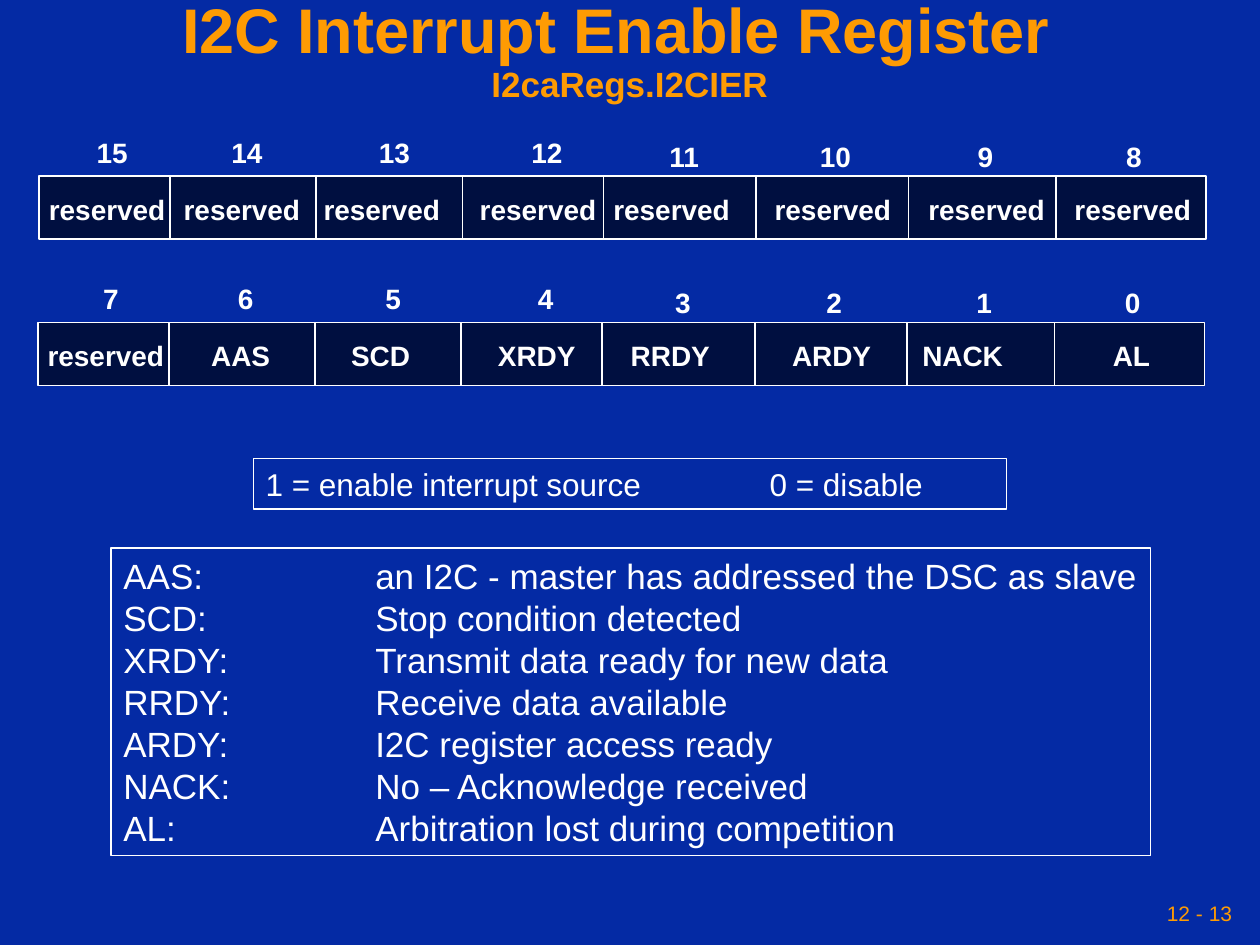
from lxml import etree
from pptx import Presentation
from pptx import util as u
from pptx.dml.color import RGBColor
from pptx.enum import shapes, text
from pptx.oxml import ns

COLORS = {"back": "042AA4", "cell": "000F40", "ink": "FFFFFF", "accent": "FE9B03"}
MIDDLE = text.MSO_ANCHOR.MIDDLE
LEFT, CENTER, RIGHT = text.PP_ALIGN.LEFT, text.PP_ALIGN.CENTER, text.PP_ALIGN.RIGHT
DIVIDERS = [1.35, 2.51, 3.67, 4.79, 6, 7.21, 8.38]
BIT_CENTERS = [0.89, 1.96, 3.13, 4.34, 5.43, 6.63, 7.82, 9]
NAME_CENTERS = [0.85, 1.92, 3.03, 4.27, 5.33, 6.61, 7.83, 8.99]
NACK_CENTERS = NAME_CENTERS[:6] + [7.65] + NAME_CENTERS[7:]
FLAGS = ["reserved", "AAS", "SCD", "XRDY", "RRDY", "ARDY", "NACK", "AL"]
MEANINGS = [
    "AAS:\tan I2C - master has addressed the DSC as slave",
    "SCD:\tStop condition detected",
    "XRDY:\tTransmit data ready for new data",
    "RRDY:\tReceive data available",
    "ARDY:\tI2C register access ready",
    "NACK:\tNo – Acknowledge received",
    "AL:\tArbitration lost during competition",
]


class Deck:
    """Holds the style and the current slide, and draws each kind of element."""

    def __init__(self, prs):
        self.s = prs.slides.add_slide(prs.slide_layouts[5])
        self.s.background.fill.solid()
        self.s.background.fill.fore_color.rgb = self.color("back")

    def color(self, name):
        return RGBColor.from_string(COLORS[name])

    def frame(self, sp, inset=0.1, **values):
        tf = sp.text_frame
        values = {"margin_left": u.Inches(inset), "margin_right": u.Inches(inset),
                  "margin_top": u.Inches(0.05), "margin_bottom": u.Inches(0.05),
                  "auto_size": text.MSO_AUTO_SIZE.NONE, "word_wrap": True, **values}
        for key, value in values.items():
            setattr(tf, key, value)
        return tf

    def run(self, p, words, size, color="ink", bold=False):
        r = p.add_run()
        r.text = words
        for key, value in {"name": "Arial", "size": u.Pt(size), "bold": bold}.items():
            setattr(r.font, key, value)
        r.font.color.rgb = self.color(color)

    def title(self, heading, subheading):
        sp = self.s.shapes.title
        for key, value in {"left": 0, "top": 0, "width": 9.92, "height": 0.83}.items():
            setattr(sp, key, u.Inches(value))
        p = self.frame(sp, 0.05, vertical_anchor=MIDDLE).paragraphs[0]
        p.alignment, p.line_spacing = CENTER, 0.9
        self.run(p, heading, 36, "accent", True)
        p.add_line_break()
        self.run(p, subheading, 20, "accent", True)

    def label(self, words, center, top, width):
        sp = self.s.shapes.add_textbox(*map(u.Inches, (center - width / 2, top, width, 0.32)))
        p = self.frame(sp, word_wrap=False).paragraphs[0]
        p.alignment, p.line_spacing = CENTER, 0.8
        self.run(p, words, 16, bold=True)

    def page_number(self, words):
        sp = self.s.shapes.add_textbox(*map(u.Inches, (6.83, 7.08, 3, 0.33)))
        p = self.frame(sp, 0.05, vertical_anchor=MIDDLE).paragraphs[0]
        p.alignment = RIGHT
        self.run(p, words, 12, "accent")

    def box(self, left, top, width, height, weight, fill=None):
        sp = self.s.shapes.add_shape(shapes.MSO_SHAPE.RECTANGLE,
                                     *map(u.Inches, (left, top, width, height)))
        sp.shadow.inherit = False
        if fill:
            sp.fill.solid()
            sp.fill.fore_color.rgb = self.color(fill)
        else:
            sp.fill.background()
        sp.line.color.rgb = self.color("ink")
        sp.line.width = u.Pt(weight)
        return sp

    def legend(self, lines, place, size, tab, wrap=True):
        sp = self.box(*place, 0.75)
        tf = self.frame(sp, word_wrap=wrap, vertical_anchor=text.MSO_ANCHOR.TOP)
        for i, words in enumerate(lines):
            p = tf.add_paragraph() if i else tf.paragraphs[0]
            p.alignment = LEFT
            tabs = etree.SubElement(p._p.get_or_add_pPr(), ns.qn("a:tabLst"))
            etree.SubElement(tabs, ns.qn("a:tab"), pos=str(u.Inches(tab)), algn="l")
            self.run(p, words, size)

    def divider(self, x, top, bottom):
        line = self.s.shapes.add_connector(shapes.MSO_CONNECTOR.STRAIGHT,
                                           *map(u.Inches, (x, top, x, bottom)))
        line.line.color.rgb = self.color("ink")
        line.line.width = u.Pt(1)
        etree.SubElement(line._element.spPr, ns.qn("a:effectLst"))

    def register_row(self, top, shift, high_bit, names, centers):
        self.box(0.31 + shift, top, 9.26, 0.5, 1, "cell")
        for x in DIVIDERS:
            self.divider(x + shift, top, top + 0.5)
        for i, (name, x) in enumerate(zip(names, centers)):
            bit_top = top - (0.32 if i < 4 else 0.29)
            self.label(str(high_bit - i), BIT_CENTERS[i] + shift, bit_top, 0.44)
            self.label(name, x + shift, top + 0.13, 1.12)


def main():
    prs = Presentation()
    prs.slide_width, prs.slide_height = u.Inches(10), u.Inches(7.5)
    deck = Deck(prs)
    deck.title("I2C Interrupt Enable Register ", " I2caRegs.I2CIER")
    deck.register_row(1.4, 0, 15, ["reserved"] * 8, NAME_CENTERS)
    deck.register_row(2.56, -0.01, 7, FLAGS, NACK_CENTERS)
    deck.legend(["1 = enable interrupt source\t0 = disable"], (2.01, 3.64, 5.98, 0.4), 18, 4)
    deck.legend(MEANINGS, (0.88, 4.35, 8.25, 2.44), 20, 2, wrap=False)
    deck.page_number("12 - 13")
    prs.save("out.pptx")


if __name__ == "__main__":
    main()
